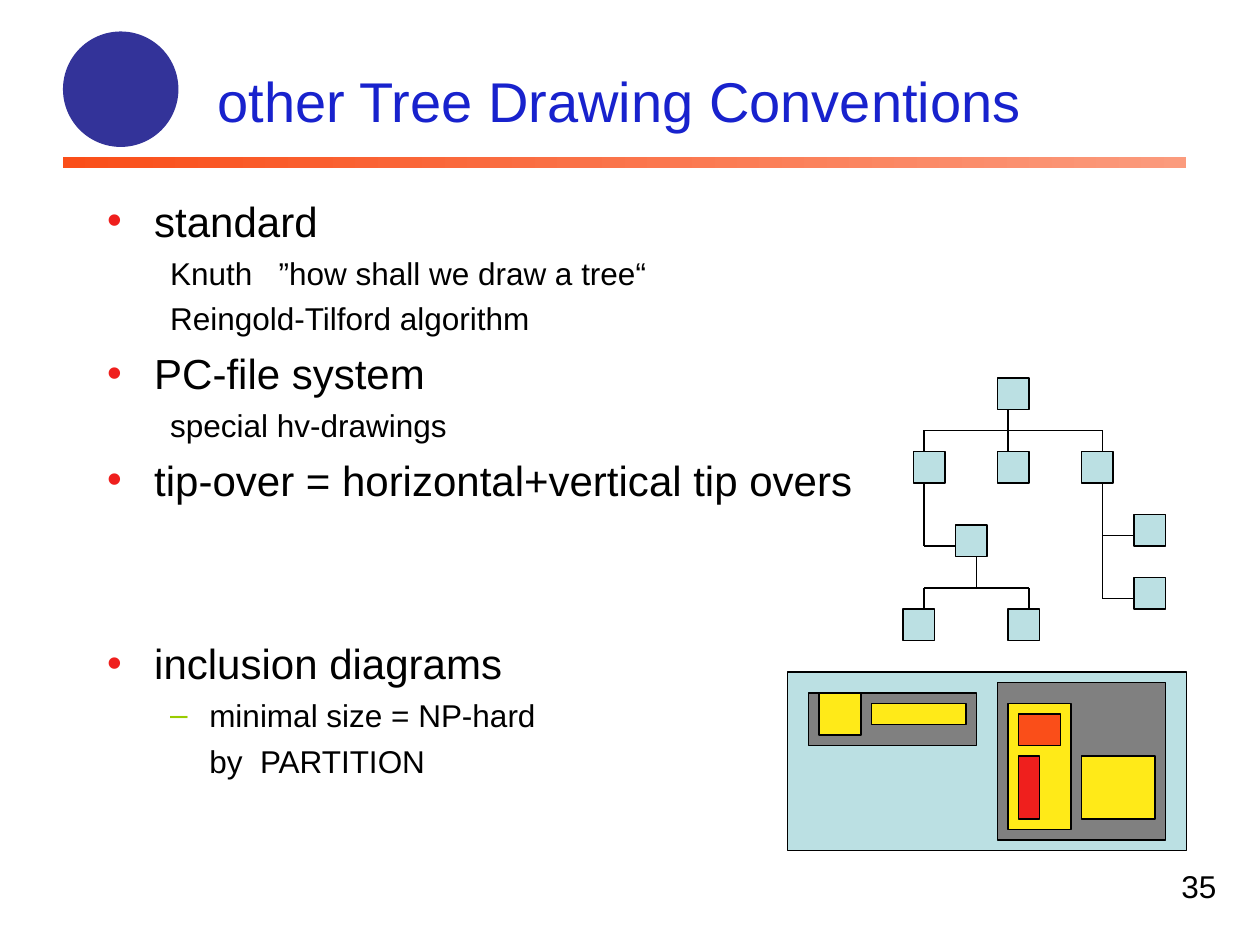
"""Build the slide on tree drawing conventions and inclusion diagrams."""
from lxml import etree
from pptx import Presentation
from pptx.dml.color import RGBColor
from pptx.enum.shapes import MSO_CONNECTOR, MSO_SHAPE
from pptx.enum.text import MSO_ANCHOR, MSO_AUTO_SIZE, PP_ALIGN
from pptx.oxml.ns import qn
from pptx.util import Cm, Pt

RECT, OVAL = MSO_SHAPE.RECTANGLE, MSO_SHAPE.OVAL
STRAIGHT = MSO_CONNECTOR.STRAIGHT
CENTER, RIGHT = PP_ALIGN.CENTER, PP_ALIGN.RIGHT
MIDDLE, NO_FIT = MSO_ANCHOR.MIDDLE, MSO_AUTO_SIZE.NONE

BLACK = RGBColor(0x00, 0x00, 0x00)
BLUE = RGBColor(0x18, 0x22, 0xCD)
INDIGO = RGBColor(0x33, 0x33, 0x99)
ORANGE = RGBColor(0xFA, 0x4E, 0x19)
PALE_ORANGE = RGBColor(0xFB, 0x9B, 0x7D)
RED = RGBColor(0xEF, 0x1F, 0x1D)
GREEN = RGBColor(0x99, 0xCC, 0x00)
TEAL = RGBColor(0xBB, 0xE0, 0xE3)
GRAY = RGBColor(0x80, 0x80, 0x80)
YELLOW = RGBColor(0xFF, 0xEA, 0x18)

GRID = Cm(25.4) / 120


def add_box(kind, box, color, outlined=True):
    s = shapes.add_shape(kind, *[round(GRID * n) for n in box])
    s.shadow.inherit = False
    s.fill.solid()
    s.fill.fore_color.rgb = color
    if outlined:
        s.line.color.rgb = BLACK
        s.line.width = Pt(0.75)
    else:
        s.line.fill.background()
    return s


def add_run(p, text, size, color=BLACK):
    r = p.add_run()
    r.text = text
    for name, value in {"name": "Arial", "size": Pt(size), "bold": False}.items():
        setattr(r.font, name, value)
    r.font.color.rgb = color


prs = Presentation()
prs.slide_width, prs.slide_height = Cm(25.4), Cm(19.05)
slide = prs.slides.add_slide(prs.slide_layouts[1])
shapes = slide.shapes
title, body = shapes.title, slide.placeholders[1]

bar = add_box(RECT, (6, 15, 107, 1), ORANGE, outlined=False)
bar.fill.gradient()
bar.fill.gradient_angle = 0
for stop, color in zip(bar.fill.gradient_stops, (ORANGE, PALE_ORANGE)):
    stop.color.rgb = color
add_box(OVAL, (6, 3, 11, 11), INDIGO, outlined=False)

for sp, box in ((title, (8, 4, 102, 11)), (body, (9, 18, 102, 59))):
    for name, n in zip(("left", "top", "width", "height"), box):
        setattr(sp, name, round(GRID * n))
    sp.text_frame.word_wrap = True
    sp.text_frame.auto_size = NO_FIT

title.text_frame.vertical_anchor = MIDDLE
p = title.text_frame.paragraphs[0]
p.alignment = CENTER
add_run(p, "other Tree Drawing Conventions", 32, BLUE)

TOPIC = {"level": 0, "size": 24, "margin": 0.95, "indent": -0.95, "bullet": "•", "color": RED}
DETAIL = {"level": 1, "size": 18, "margin": 2.06, "indent": -0.79, "bullet": None}
POINT = {**DETAIL, "bullet": "–", "color": GREEN}
WRAPPED = {**DETAIL, "indent": 0}
items = [
    ("standard", TOPIC, 0),
    ("Knuth   ”how shall we draw a tree“", DETAIL, 4.5),
    ("Reingold-Tilford algorithm", DETAIL, 4.5),
    ("PC-file system", TOPIC, 6),
    ("special hv-drawings", DETAIL, 4.5),
    ("tip-over = horizontal+vertical tip overs", TOPIC, 6),
    ("inclusion diagrams", TOPIC, 76),
    ("minimal size = NP-hard", POINT, 4.5),
    ("by  PARTITION", WRAPPED, 4.5),
]
tf = body.text_frame
for i, (text, style, before) in enumerate(items):
    p = tf.add_paragraph() if i else tf.paragraphs[0]
    pPr = p._p.get_or_add_pPr()
    pPr.set("marL", str(Cm(style["margin"])))
    pPr.set("indent", str(Cm(style["indent"])))
    if style["bullet"]:
        clr = etree.SubElement(pPr, qn("a:buClr"))
        etree.SubElement(clr, qn("a:srgbClr"), val=str(style["color"]))
        etree.SubElement(pPr, qn("a:buFont"), typeface="Arial")
        etree.SubElement(pPr, qn("a:buChar"), char=style["bullet"])
    else:
        etree.SubElement(pPr, qn("a:buNone"))
    p.level = style["level"]
    p.space_before = Pt(before)
    add_run(p, text, style["size"])

tree_edges = [
    (96, 39, 96, 43), (88, 41, 105, 41), (88, 41, 88, 43), (105, 41, 105, 43),
    (88, 46, 88, 52), (88, 52, 92, 52),
    (105, 46, 105, 57), (105, 51, 109, 51), (105, 57, 108, 57),
    (93, 53, 93, 56), (88, 56, 98, 56), (88, 56, 88, 58), (98, 56, 98, 59),
]
for edge in tree_edges:
    s = shapes.add_connector(STRAIGHT, *[round(GRID * n) for n in edge])
    s.line.color.rgb = BLACK
    s.line.width = Pt(0.75)
    etree.SubElement(s._element.spPr, qn("a:effectLst"))

tree_nodes = [(95, 36), (87, 43), (95, 43), (103, 43), (91, 50),
              (86, 58), (96, 58), (108, 49), (108, 55)]
for x, y in tree_nodes:
    add_box(RECT, (x, y, 3, 3), TEAL)

inclusions = [
    ((75, 64, 38, 17), TEAL),
    ((77, 66, 16, 5), GRAY),
    ((95, 65, 16, 15), GRAY),
    ((96, 67, 6, 12), YELLOW),
    ((103, 72, 7, 6), YELLOW),
    ((78, 66, 4, 4), YELLOW),
    ((83, 67, 9, 2), YELLOW),
    ((97, 68, 4, 3), ORANGE),
    ((97, 72, 2, 6), RED),
]
for box, color in inclusions:
    add_box(RECT, box, color)

s = shapes.add_textbox(Cm(22.99), Cm(17.35), Cm(1.78), Cm(1.02))
s.text_frame.word_wrap = True
p = s.text_frame.paragraphs[0]
p.alignment = RIGHT
add_run(p, "35", 18)

prs.save("out.pptx")
